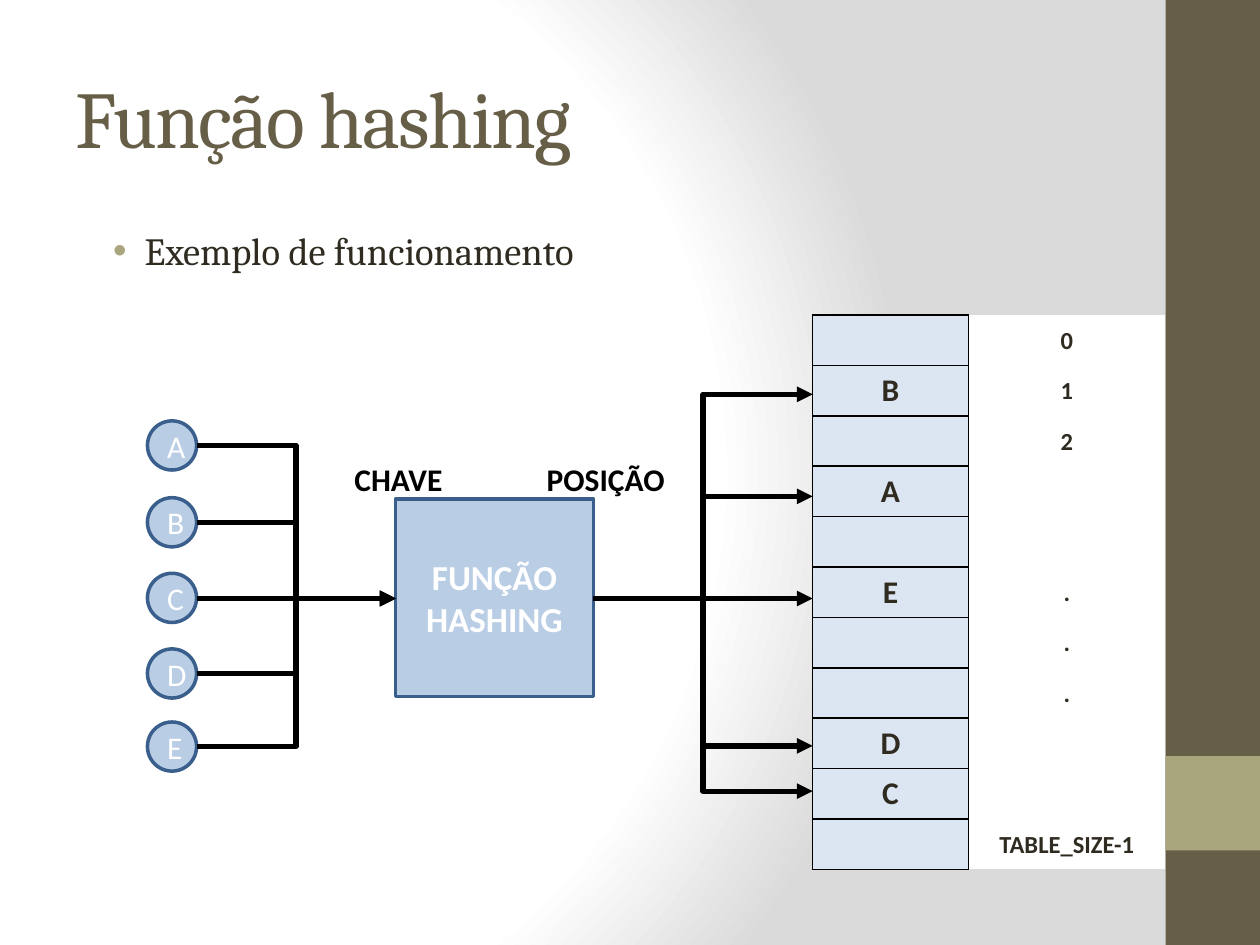
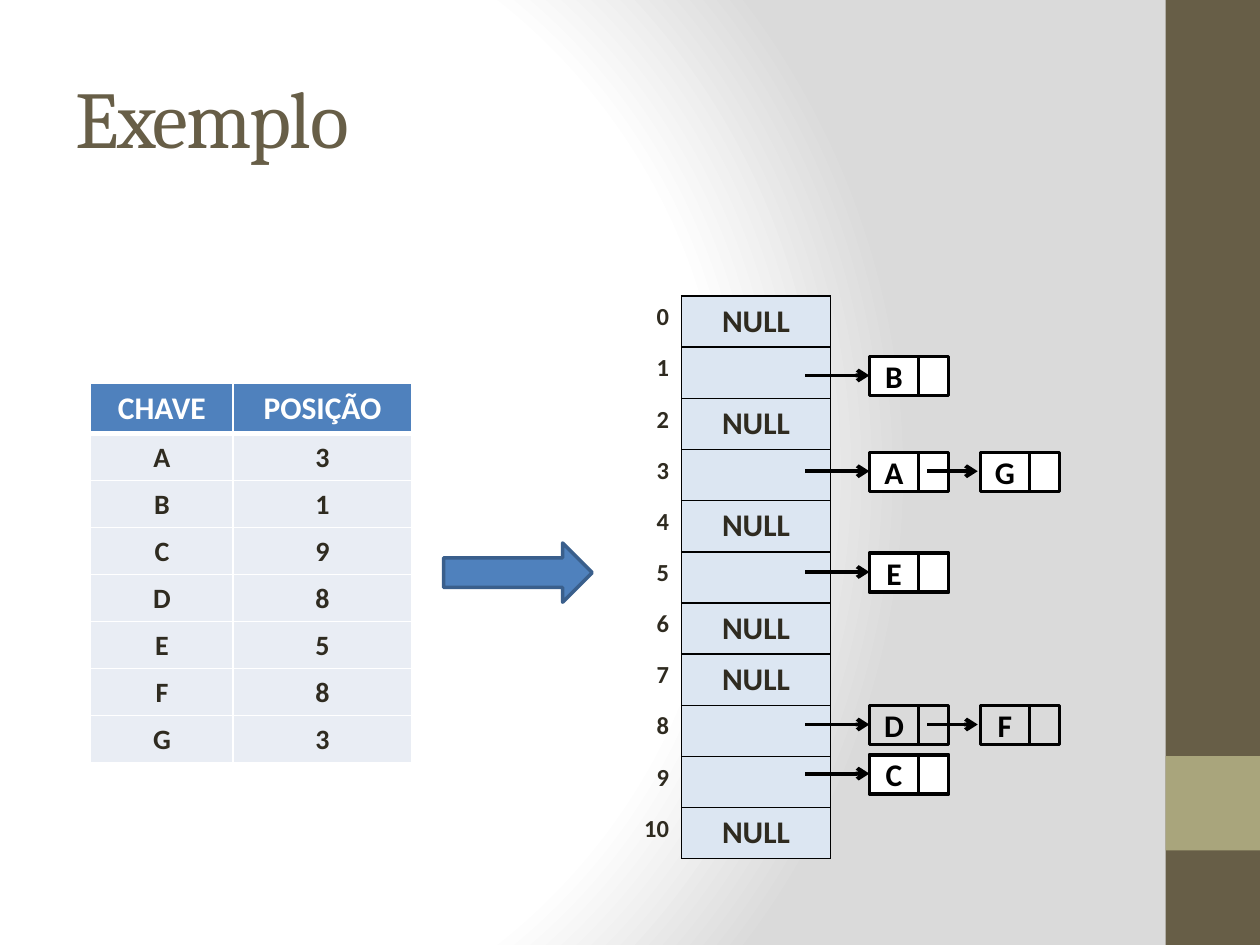
from lxml.etree import SubElement
from pptx import Presentation
from pptx.dml.color import RGBColor
from pptx.enum.shapes import MSO_CONNECTOR as CONN, MSO_SHAPE as SHAPE
from pptx.enum.text import MSO_ANCHOR as ANCHOR, PP_ALIGN as ALIGN
from pptx.oxml import parse_xml
from pptx.oxml.ns import nsdecls, qn
from pptx.util import Inches, Pt

rgb = RGBColor.from_string
OLIVE, SAGE, INK = "675E47", "A9A57C", "2F2B20"
BLACK, WHITE = "000000", "FFFFFF"
BLUE, NAVY, SKY, ICE, MIST = "4F81BD", "3A5F8C", "B9CDE5", "DCE6F2", "E9EDF4"

prs = Presentation()
prs.slide_width, prs.slide_height = Inches(10), Inches(7.5)
u = prs.slide_width // 100


def put(tf, text, size, color, font="Calibri", bold=True, align=ALIGN.CENTER):
    tf.word_wrap = True
    p = tf.paragraphs[0]
    p.text = text
    p.alignment = align
    for r in p.runs:
        r.font.name, r.font.size, r.font.bold = font, Pt(size), bold
        r.font.color.rgb = rgb(color)
    return p


def box(shapes, kind, x, y, w, h, fill=None, line=None):
    sp = shapes.add_shape(kind, *[round(v * u) for v in (x, y, w, h)])
    sp.shadow.inherit = False
    if fill:
        sp.fill.solid()
        sp.fill.fore_color.rgb = rgb(fill)
    else:
        sp.fill.background()
    if line:
        sp.line.color.rgb = rgb(line)
        sp.line.width = Pt(2)
    else:
        sp.line.fill.background()
    return sp


slides = []
texts = []
for title in ("Função hashing", "Exemplo"):
    s = prs.slides.add_slide(prs.slide_layouts[6])
    s.background.fill.solid()
    bg = s.element.find(".//" + qn("p:bgPr"))
    stops = "".join(
        f'<a:gs pos="{pos * 1000}"><a:srgbClr val="{c}"/></a:gs>'
        for pos, c in ((0, WHITE), (75, WHITE), (100, "DADADA"))
    )
    bg.replace(bg[0], parse_xml(
        f'<a:gradFill rotWithShape="1" {nsdecls("a")}><a:gsLst>{stops}</a:gsLst>'
        '<a:path path="circle"><a:fillToRect l="20000" t="50000" r="100000" b="50000"/>'
        "</a:path></a:gradFill>"
    ))
    box(s.shapes, SHAPE.RECTANGLE, 92.5, 0, 7.5, 75, OLIVE)
    box(s.shapes, SHAPE.RECTANGLE, 92.5, 60, 7.5, 7.5, SAGE)
    slides.append(s)
    texts.append((s, title, 5, 3, 83.3, 12.5, 46, OLIVE, "Cambria", False, ALIGN.LEFT))

hashing, example = slides
texts += [
    (hashing, "Exemplo de funcionamento", 6.7, 17.5, 83.3, 49.2, 22, INK, "Cambria", False, ALIGN.LEFT),
    (hashing, "CHAVE", 18, 36, 18.1, 4, 18, BLACK, "Calibri", True, ALIGN.RIGHT),
    (hashing, "POSIÇÃO", 42.4, 36, 18.1, 4, 18, BLACK, "Calibri", True, ALIGN.LEFT),
]
for s, text, x, y, w, h, *style in texts:
    tf = s.shapes.add_textbox(*[round(v * u) for v in (x, y, w, h)]).text_frame
    p = put(tf, text, *style)
    if style[0] == 46:
        tf.vertical_anchor = ANCHOR.MIDDLE
        p.runs[0].font._element.set("spc", "-100")
    elif style[0] == 22:
        p.space_before = Pt(4.4)
        pPr = p._p.get_or_add_pPr()
        pPr.set("marL", str(Inches(0.38)))
        pPr.set("indent", str(Inches(-0.25)))
        SubElement(SubElement(pPr, qn("a:buClr")), qn("a:srgbClr"), val=SAGE)
        SubElement(pPr, qn("a:buFont"), typeface="Arial")
        SubElement(pPr, qn("a:buChar"), char="•")

slots = ["", "B", "", "A", "", "E", "", "", "D", "C", ""]
labels = ["0", "1", "2", "", "", ".", ".", ".", "", "", "TABLE_SIZE-1"]
heads = ["", "NULL"]
buckets = [heads[i in (0, 2, 4, 6, 7, 10)] for i in range(11)]
keys = [("CHAVE", "POSIÇÃO"), *zip("ABCDEFG", "3198583")]

slot_style = (18, ALIGN.CENTER, ANCHOR.TOP, ICE, "LRTB", BLACK)
label_style = (14, ALIGN.CENTER, ANCHOR.MIDDLE, WHITE, "L", BLACK)
index_style = (14, ALIGN.RIGHT, ANCHOR.TOP, None, "R", BLACK)
key_style = (16, ALIGN.CENTER, ANCHOR.MIDDLE, MIST, "LRTB", WHITE)
head_style = (18, ALIGN.CENTER, ANCHOR.MIDDLE, BLUE, "LRTB", WHITE)

tables = [
    (hashing, 64.5, 25, (12.35, 15.65), 4, list(zip(slots, labels)), (slot_style, label_style)),
    (example, 49.4, 23.5, (4.7, 11.8), 4.06, list(zip(map(str, range(11)), buckets)), (index_style, slot_style)),
    (example, 7.2, 30.4, (11.3, 14.2), 3.73, keys, (key_style, key_style)),
]
for s, x, y, cols, pitch, rows, styles in tables:
    has_head = rows is keys
    frame = s.shapes.add_table(
        len(rows), 2, *[round(v * u) for v in (x, y, sum(cols), pitch * len(rows))])
    tbl = frame.table
    tbl.first_row = tbl.horz_banding = False
    for col, w in zip(tbl.columns, cols):
        col.width = round(w * u)
    for i, row in enumerate(rows):
        head = has_head and i == 0
        tbl.rows[i].height = round((4 if head else pitch) * u)
        for j, text in enumerate(row):
            size, align, anchor, fill, sides, edge = head_style if head else styles[j]
            cell = tbl.cell(i, j)
            put(cell.text_frame, text, size, WHITE if head else INK, align=align)
            cell.vertical_anchor = anchor
            cell.margin_top, cell.margin_bottom = Inches(0.05), Inches(0.04)
            tcPr = cell._tc.get_or_add_tcPr()
            for side in "LRTB":
                thick = has_head and (i, side) in ((0, "B"), (1, "T"))
                ln = SubElement(tcPr, qn("a:ln" + side), w=str(Pt(3 if thick else 1)))
                if side in sides:
                    SubElement(SubElement(ln, qn("a:solidFill")), qn("a:srgbClr"), val=edge)
                else:
                    SubElement(ln, qn("a:noFill"))
            if fill:
                cell.fill.solid()
                cell.fill.fore_color.rgb = rgb(fill)
            else:
                cell.fill.background()

arrows = []
mid = 47.5
for key, y in zip("ABCDE", (33.4, 39.5, 45.5, 51.5, 57.3)):
    sp = box(hashing.shapes, SHAPE.OVAL, 11.7, y, 3.9, 3.9, SKY, NAVY)
    put(sp.text_frame, key, 18, WHITE, bold=False)
    start = mid if key == "C" else y + 1.95
    arrows.append((hashing, 15.6, start, 31.4, mid, 3, "triangle"))
sp = box(hashing.shapes, SHAPE.RECTANGLE, 31.4, 39.6, 15.7, 15.7, SKY, NAVY)
put(sp.text_frame, "FUNÇÃO HASHING", 20, WHITE)
for y in (31.3, 39.4, mid, 59.2, 62.8):
    arrows.append((hashing, 47.1, mid, 64.5, y, 3, "triangle"))

box(example.shapes, SHAPE.RIGHT_ARROW, 35.2, 43.1, 11.8, 4.7, BLUE, NAVY)
chains = [("B", 28.3, WHITE), ("AG", 35.9, WHITE), ("E", 43.9, WHITE),
          ("DF", 56, None), ("C", 59.9, WHITE)]
for chain, y, fill in chains:
    for i, key in enumerate(chain):
        x = 69 + 8.8 * i
        node = example.shapes.add_group_shape()
        sp = box(node.shapes, SHAPE.RECTANGLE, x, y, 3.9, 3.1, fill, BLACK)
        put(sp.text_frame, key, 18, BLACK)
        box(node.shapes, SHAPE.RECTANGLE, x + 3.9, y, 2.4, 3.1, fill, BLACK)
        arrows.append((example, 63.9 + 9.7 * i, y + 1.5, x - 0.2 * i, y + 1.5, 2.25, "arrow"))

for s, x1, y1, x2, y2, width, tip in arrows:
    kind = CONN.STRAIGHT if y1 == y2 else CONN.ELBOW
    c = s.shapes.add_connector(kind, *[round(v * u) for v in (x1, y1, x2, y2)])
    c.line.color.rgb = rgb(BLACK)
    c.line.width = Pt(width)
    spPr = c._element.spPr
    SubElement(spPr.find(qn("a:ln")), qn("a:tailEnd"), type=tip)
    SubElement(spPr, qn("a:effectLst"))

prs.save("out.pptx")
